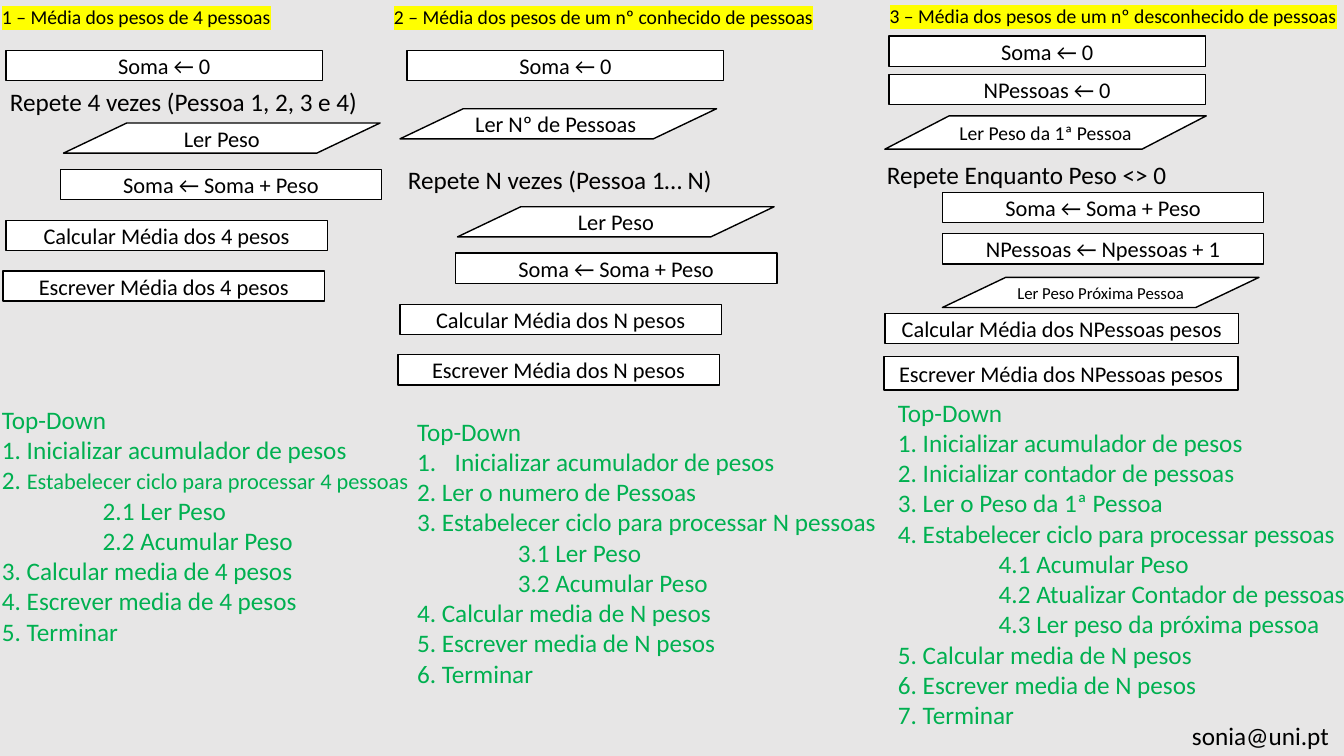
from dataclasses import dataclass

from lxml import etree
from pptx import Presentation
from pptx import util as u
from pptx.dml.color import RGBColor
from pptx.enum import shapes, text
from pptx.oxml.ns import qn

PROCESS = shapes.MSO_SHAPE.RECTANGLE
INPUT = shapes.MSO_SHAPE.FLOWCHART_DATA


@dataclass(frozen=True)
class Theme:
    font: str = "Calibri"
    background: str = "E7E6E6"
    ink: str = "000000"
    box: str = "FFFFFF"
    outline: str = "00B050"
    marker: str = "FFFF00"
    title_size: int = 14
    box_size: int = 16
    body_size: int = 18


@dataclass(frozen=True)
class Sub:
    """A step nested inside the loop."""
    text: str


@dataclass(frozen=True)
class Numbered:
    """A step whose number is generated by the list."""
    text: str


@dataclass(frozen=True)
class Shrunk:
    """A step whose wording is smaller than its number."""
    number: str
    text: str


class AlgorithmSlide:
    def __init__(self, presentation, theme):
        self.theme = theme
        self.slide = presentation.slides.add_slide(presentation.slide_layouts[6])
        fill = self.slide.background.fill
        fill.solid()
        fill.fore_color.rgb = RGBColor.from_string(theme.background)

    def format_run(self, run, size, colour, marker=None):
        run.font.size = u.Pt(size)
        run.font.color.rgb = RGBColor.from_string(colour)
        if marker:
            highlight = etree.SubElement(run.font._element, qn("a:highlight"))
            etree.SubElement(highlight, qn("a:srgbClr"), val=marker)
        run.font.name = self.theme.font

    def text_box(self, left, top, width, height, wrap=False):
        shape = self.slide.shapes.add_textbox(*map(u.Cm, (left, top, width, height)))
        shape.text_frame.word_wrap = wrap
        shape.text_frame.auto_size = text.MSO_AUTO_SIZE.SHAPE_TO_FIT_TEXT
        return shape.text_frame

    def title(self, left, top, width, wording):
        paragraph = self.text_box(left, top, width, 0.86, wrap=True).paragraphs[0]
        paragraph.text = wording
        self.format_run(paragraph.runs[0], self.theme.title_size, self.theme.ink,
                        self.theme.marker)

    def label(self, left, top, width, wording):
        paragraph = self.text_box(left, top, width, 1.02).paragraphs[0]
        paragraph.text = wording
        self.format_run(paragraph.runs[0], self.theme.body_size, self.theme.ink)

    def step(self, kind, left, top, width, wording, size=None, height=0.76):
        shape = self.slide.shapes.add_shape(kind, *map(u.Cm, (left, top, width, height)))
        shape.shadow.inherit = False
        shape.fill.solid()
        shape.fill.fore_color.rgb = RGBColor.from_string(self.theme.box)
        shape.line.color.rgb = RGBColor.from_string(self.theme.ink)
        shape.line.width = u.Pt(1)
        frame = shape.text_frame
        frame.margin_left = frame.margin_right = 0
        frame.vertical_anchor = text.MSO_ANCHOR.MIDDLE
        paragraph = frame.paragraphs[0]
        paragraph.text = wording
        paragraph.alignment = text.PP_ALIGN.CENTER
        self.format_run(paragraph.runs[0], size or self.theme.box_size, self.theme.ink)

    def indent(self, paragraph, margin, hanging=0):
        properties = paragraph._p.get_or_add_pPr()
        properties.set("marL", str(u.Cm(margin)))
        properties.set("indent", str(-u.Cm(hanging)))
        return properties

    def top_down(self, left, top, width, height, items):
        frame = self.text_box(left, top, width, height)
        for index, item in enumerate(["Top-Down", *items]):
            paragraph = frame.add_paragraph() if index else frame.paragraphs[0]
            if isinstance(item, Shrunk):
                paragraph.text = item.number
                paragraph.add_run().text = item.text
            else:
                paragraph.text = item if isinstance(item, str) else item.text
            if isinstance(item, Sub):
                self.indent(paragraph, 2.54)
            elif isinstance(item, Numbered):
                properties = self.indent(paragraph, 0.95, hanging=0.95)
                etree.SubElement(properties, qn("a:buAutoNum"), type="arabicPeriod")
            for position, run in enumerate(paragraph.runs):
                size = self.theme.box_size if position else self.theme.body_size
                self.format_run(run, size, self.theme.outline)


def known_total(page):
    page.title(-0.2, 0, 7.57, "1 – Média dos pesos de 4 pessoas")
    page.step(PROCESS, 0.15, 1.27, 7.98, "Soma ← 0")
    page.label(0, 2.06, 9.37, "Repete 4 vezes (Pessoa 1, 2, 3 e 4)")
    page.step(INPUT, 1.6, 3.1, 7.98, "Ler Peso")
    page.step(PROCESS, 1.52, 4.27, 8.1, "Soma ← Soma + Peso")
    page.step(PROCESS, 0.15, 5.56, 8.1, "Calcular Média dos 4 pesos")
    page.step(PROCESS, 0.08, 6.83, 8.1, "Escrever Média dos 4 pesos")
    page.top_down(-0.2, 10.06, 10.9, 6.4, [
        "1. Inicializar acumulador de pesos",
        Shrunk("2. ", "Estabelecer ciclo para processar 4 pessoas"),
        Sub("2.1 Ler Peso"),
        Sub("2.2 Acumular Peso"),
        "3. Calcular media de 4 pesos",
        "4. Escrever media de 4 pesos",
        "5. Terminar",
    ])


def entered_total(page):
    page.title(9.68, 0, 11.28, "2 – Média dos pesos de um nº conhecido de pessoas")
    page.step(PROCESS, 10.26, 1.27, 7.98, "Soma ← 0")
    page.step(INPUT, 10.08, 2.74, 7.98, "Ler Nº de Pessoas ")
    page.label(10.03, 4.01, 8.26, "Repete N vezes (Pessoa 1… N)")
    page.step(INPUT, 11.53, 5.21, 7.98, "Ler Peso")
    page.step(PROCESS, 11.48, 6.38, 8.1, "Soma ← Soma + Peso")
    page.step(PROCESS, 10.08, 7.67, 8.1, "Calcular Média dos N pesos")
    page.step(PROCESS, 10.03, 8.94, 8.1, "Escrever Média dos N pesos")
    page.top_down(10.26, 10.36, 12.12, 7.19, [
        Numbered("Inicializar acumulador de pesos"),
        "2. Ler o numero de Pessoas",
        "3. Estabelecer ciclo para processar N pessoas",
        Sub("3.1 Ler Peso"),
        Sub("3.2 Acumular Peso"),
        "4. Calcular media de N pesos",
        "5. Escrever media de N pesos",
        "6. Terminar",
    ])


def unknown_total(page):
    page.title(22.17, -0.03, 12.01, "3 – Média dos pesos de um nº desconhecido de pessoas")
    page.step(PROCESS, 22.4, 0.91, 7.98, "Soma ← 0")
    page.step(PROCESS, 22.4, 1.88, 7.98, "NPessoas ← 0")
    page.step(INPUT, 22.3, 2.92, 8.1, "Ler Peso da 1ª Pessoa", size=14, height=0.84)
    page.label(22.1, 3.89, 7.65, "Repete Enquanto Peso <> 0")
    page.step(PROCESS, 23.75, 4.85, 8.1, "Soma ← Soma + Peso")
    page.step(PROCESS, 23.75, 5.89, 8.1, "NPessoas ← Npessoas + 1")
    page.step(INPUT, 23.75, 6.99, 7.98, "Ler Peso Próxima Pessoa", size=12)
    page.step(PROCESS, 22.3, 7.9, 8.92, "Calcular Média dos NPessoas pesos")
    page.step(PROCESS, 22.28, 8.99, 8.92, "Escrever Média dos NPessoas pesos", height=0.84)
    page.top_down(22.38, 9.88, 11.89, 8.71, [
        "1. Inicializar acumulador de pesos",
        "2. Inicializar contador de pessoas",
        "3. Ler o Peso da 1ª Pessoa",
        "4. Estabelecer ciclo para processar pessoas",
        Sub("4.1 Acumular Peso"),
        Sub("4.2 Atualizar Contador de pessoas"),
        Sub("4.3 Ler peso da próxima pessoa"),
        "5. Calcular media de N pesos",
        "6. Escrever media de N pesos",
        "7. Terminar",
    ])


def main():
    presentation = Presentation()
    presentation.slide_width = u.Cm(33.87)
    presentation.slide_height = u.Cm(19.05)
    page = AlgorithmSlide(presentation, Theme())
    page.label(29.79, 18.03, 4.06, "sonia@uni.pt")
    for build_column in (known_total, entered_total, unknown_total):
        build_column(page)
    presentation.save("out.pptx")


if __name__ == "__main__":
    main()
